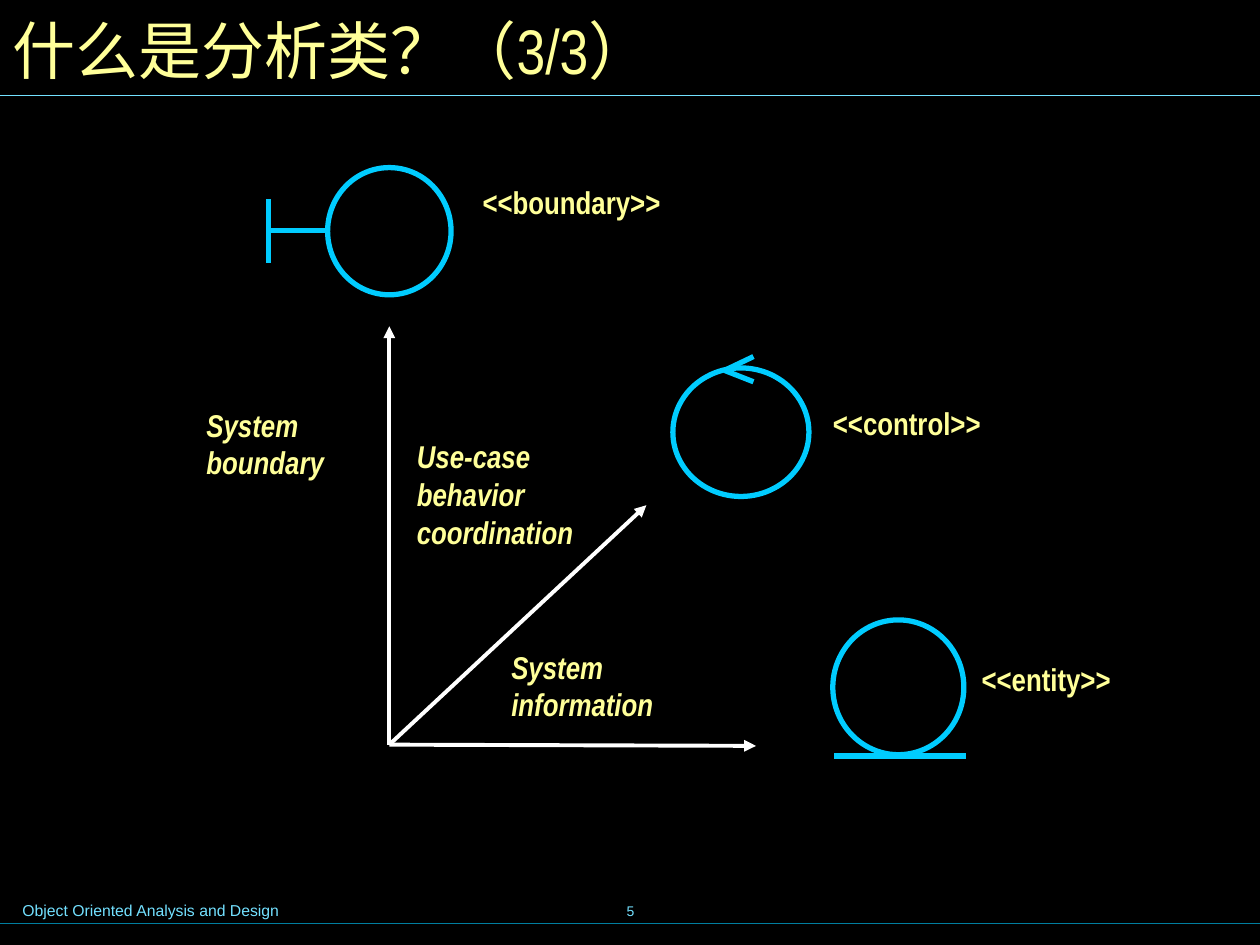
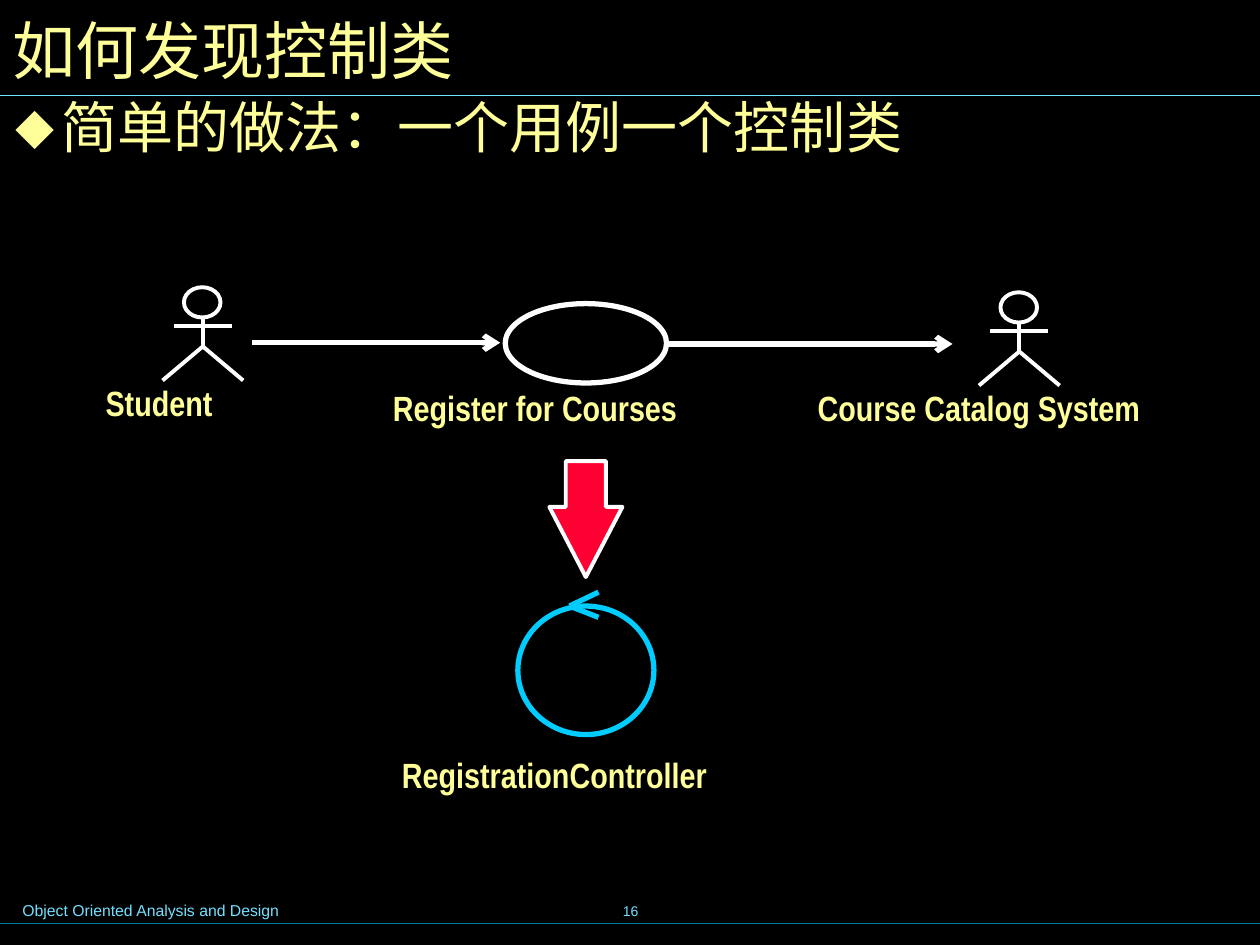
from lxml.etree import SubElement
from pptx import Presentation
from pptx.dml.color import RGBColor
from pptx.enum.shapes import MSO_CONNECTOR, MSO_SHAPE
from pptx.enum.text import MSO_ANCHOR, MSO_AUTO_SIZE, PP_ALIGN
from pptx.oxml.ns import qn
from pptx.util import Inches, Pt

COLORS = {
    "background": "000000",
    "text": "FFFF99",
    "footer": "73E1FF",
    "footer_rule": "007E9F",
    "actor": "FFFFFF",
    "symbol": "00CCFF",
    "block_arrow": "FF0033",
}
FONTS = {
    "title": {"name": "Arial Narrow", "size": Pt(36), "bold": False},
    "body": {"name": "Arial", "size": Pt(32)},
    "axis": {"name": "Arial Narrow", "size": Pt(18), "bold": True, "italic": True},
    "stereotype": {"name": "Arial Narrow", "size": Pt(18), "bold": True},
    "caption": {"name": "Arial Narrow", "size": Pt(20), "bold": True},
    "footer": {"name": "Arial", "size": Pt(9)},
    "number": {"name": "Arial", "size": Pt(8)},
}
THIN, MEDIUM, THICK = 0.75, 2.25, 3
TITLE_ONLY, TITLE_AND_BODY = 5, 1


def rgb(name):
    return RGBColor.from_string(COLORS[name])


def set_values(target, values):
    for key, value in values.items():
        setattr(target, key, value)


def place(shape, left, top, width, height):
    box = zip(("left", "top", "width", "height"), (left, top, width, height))
    set_values(shape, {side: Inches(length) for side, length in box})


# Text
def write(shape, text, font, color="text", inset=0.1, wrap=True,
          anchor=MSO_ANCHOR.TOP, align=PP_ALIGN.LEFT):
    frame = shape.text_frame
    frame.text = text
    set_values(frame, {
        "auto_size": MSO_AUTO_SIZE.NONE, "word_wrap": wrap, "vertical_anchor": anchor,
        "margin_left": Inches(inset), "margin_right": Inches(inset),
        "margin_top": Inches(inset / 2), "margin_bottom": Inches(inset / 2),
    })
    paragraph = frame.paragraphs[0]
    set_values(paragraph, {"alignment": align, "space_before": Pt(0)})
    run_font = paragraph.runs[0].font
    set_values(run_font, FONTS[font])
    run_font.color.rgb = rgb(color)
    return paragraph


def add_label(slide, text, box, font, **options):
    label = slide.shapes.add_textbox(*(Inches(length) for length in box))
    write(label, text, font, **options)


def add_bullet_body(slide, text):
    body = slide.placeholders[1]
    place(body, 0, 0.78, 9.28, 5.52)
    paragraph = write(body, text, "body", inset=0.12)
    paragraph.line_spacing = 0.8
    properties = paragraph._p.get_or_add_pPr()
    properties.set("marL", str(Inches(0.37)))
    properties.set("indent", str(Inches(-0.37)))
    bullet_color = SubElement(properties, qn("a:buClr"))
    SubElement(bullet_color, qn("a:srgbClr"), val=COLORS["text"])
    SubElement(properties, qn("a:buChar"), char="⬥")


# Lines and outlines
def add_line(slide, start, end, color, width, arrowhead=None):
    ends = [Inches(length) for length in (*start, *end)]
    line = slide.shapes.add_connector(MSO_CONNECTOR.STRAIGHT, *ends)
    line.line.color.rgb = rgb(color)
    line.line.width = Pt(width)
    if arrowhead:
        SubElement(line.line._get_or_add_ln(), qn("a:tailEnd"), type=arrowhead)
    SubElement(line._element.spPr, qn("a:effectLst"))


def format_outline(shape, color, width):
    shape.shadow.inherit = False
    shape.fill.background()
    shape.line.color.rgb = rgb(color)
    shape.line.width = Pt(width)


def add_shape(slide, preset, box, color, width):
    shape = slide.shapes.add_shape(preset, *(Inches(length) for length in box))
    format_outline(shape, color, width)
    return shape


# Diagram symbols
def add_boundary(slide, left, top):
    middle = top + 0.5
    add_shape(slide, MSO_SHAPE.OVAL, (left + 0.47, top, 0.98, 1.01), "symbol", THICK)
    add_line(slide, (left, top + 0.25), (left, top + 0.76), "symbol", THICK)
    add_line(slide, (left, middle), (left + 0.47, middle), "symbol", THICK)


def add_control(slide, left, top, tip_drop=0):
    add_shape(slide, MSO_SHAPE.OVAL, (left, top, 1.08, 1.02), "symbol", THICK)
    tip_x, tip_y = left + 0.41, top + tip_drop
    for rise in (-0.11, 0.09):
        add_line(slide, (tip_x + 0.23, tip_y + rise), (tip_x, tip_y), "symbol", THICK)


def add_entity(slide, left, top):
    add_shape(slide, MSO_SHAPE.OVAL, (left, top, 1.04, 1.07), "symbol", THICK)
    base = top + 1.08
    add_line(slide, (left + 0.01, base), (left + 1.06, base), "symbol", THICK)


def add_actor(slide, left, top):
    center, hip = left + 0.32, top + 0.47
    add_shape(slide, MSO_SHAPE.OVAL, (left + 0.17, top, 0.29, 0.24), "actor", MEDIUM)
    add_line(slide, (center, top + 0.24), (center, hip), "actor", MEDIUM)
    add_line(slide, (left + 0.09, top + 0.31), (left + 0.55, top + 0.31), "actor", MEDIUM)
    foot = Inches(top + 0.74)
    legs = slide.shapes.build_freeform(Inches(left), foot)
    legs.add_line_segments(
        [(Inches(center), Inches(hip)), (Inches(left + 0.64), foot)], close=False)
    format_outline(legs.convert_to_shape(), "actor", MEDIUM)


# Shared frame of every slide
def add_slide(deck, layout, title, number):
    slide = deck.slides.add_slide(deck.slide_layouts[layout])
    place(slide.shapes.title, 0, 0, 9.93, 0.78)
    write(slide.shapes.title, title, "title", anchor=MSO_ANCHOR.MIDDLE)
    add_label(slide, "Object Oriented Analysis and Design", (0.08, 7.1, 5.1, 0.25),
              "footer", color="footer")
    add_label(slide, str(number), (3.42, 6.98, 3.17, 0.5), "number", color="footer",
              anchor=MSO_ANCHOR.MIDDLE, align=PP_ALIGN.CENTER)
    add_line(slide, (0, 7.33), (10, 7.33), "footer_rule", THIN)
    add_line(slide, (0, 0.76), (10, 0.76), "footer", THIN)
    return slide


def build_analysis_classes(deck):
    slide = add_slide(deck, TITLE_ONLY, "什么是分析类？（3/3）", 5)

    # Three axes from one origin
    origin = (3.09, 5.91)
    for tip in ((3.09, 2.59), (6, 5.92), (5.13, 4.01)):
        add_line(slide, origin, tip, "actor", MEDIUM, "triangle")
    for text, box in (
        ("System boundary", (1.54, 3.17, 1.42, 0.7)),
        ("Use-case behavior coordination", (3.21, 3.42, 1.58, 1)),
        ("System information", (3.96, 5.09, 1.67, 0.7)),
    ):
        add_label(slide, text, box, "axis")

    # Class symbols and their stereotypes
    add_control(slide, 5.34, 2.92, tip_drop=0.02)
    add_entity(slide, 6.61, 4.92)
    add_boundary(slide, 2.13, 1.33)
    for text, box in (
        ("<<boundary>>", (3.71, 1.39, 1.65, 0.42)),
        ("<<control>>", (6.49, 3.15, 1.41, 0.42)),
        ("<<entity>>", (7.67, 5.18, 1.26, 0.42)),
    ):
        add_label(slide, text, box, "stereotype", inset=0.12, wrap=False)


def build_control_class(deck):
    slide = add_slide(deck, TITLE_AND_BODY, "如何发现控制类", 16)
    add_bullet_body(slide, "简单的做法：一个用例一个控制类")

    # Use case between its two actors
    add_actor(slide, 1.29, 2.28)
    add_actor(slide, 7.77, 2.32)
    add_line(slide, (2, 2.72), (3.97, 2.72), "actor", THICK, "arrow")
    add_line(slide, (5.3, 2.73), (7.56, 2.73), "actor", THICK, "arrow")
    add_shape(slide, MSO_SHAPE.OVAL, (4.01, 2.41, 1.28, 0.63), "actor", THICK)
    for text, box in (
        ("Student", (0.74, 2.98, 1.74, 0.44)),
        ("Register for Courses", (3.02, 3.02, 3.27, 0.44)),
        ("Course Catalog System", (6.39, 3.02, 3.35, 0.44)),
    ):
        add_label(slide, text, box, "caption")

    # Resulting control class
    block_arrow = add_shape(slide, MSO_SHAPE.DOWN_ARROW, (4.36, 3.66, 0.58, 0.92),
                            "actor", MEDIUM)
    block_arrow.fill.solid()
    block_arrow.fill.fore_color.rgb = rgb("block_arrow")
    block_arrow.adjustments[0] = 0.55
    block_arrow.adjustments[1] = 0.96
    add_control(slide, 4.11, 4.81)
    add_label(slide, "RegistrationController", (3.19, 5.98, 2.42, 0.33), "caption",
              inset=0, wrap=False)


def main():
    deck = Presentation()
    set_values(deck, {"slide_width": Inches(10), "slide_height": Inches(7.5)})
    backdrop = deck.slide_master.background.fill
    backdrop.solid()
    backdrop.fore_color.rgb = rgb("background")
    build_analysis_classes(deck)
    build_control_class(deck)
    deck.save("out.pptx")


if __name__ == "__main__":
    main()
